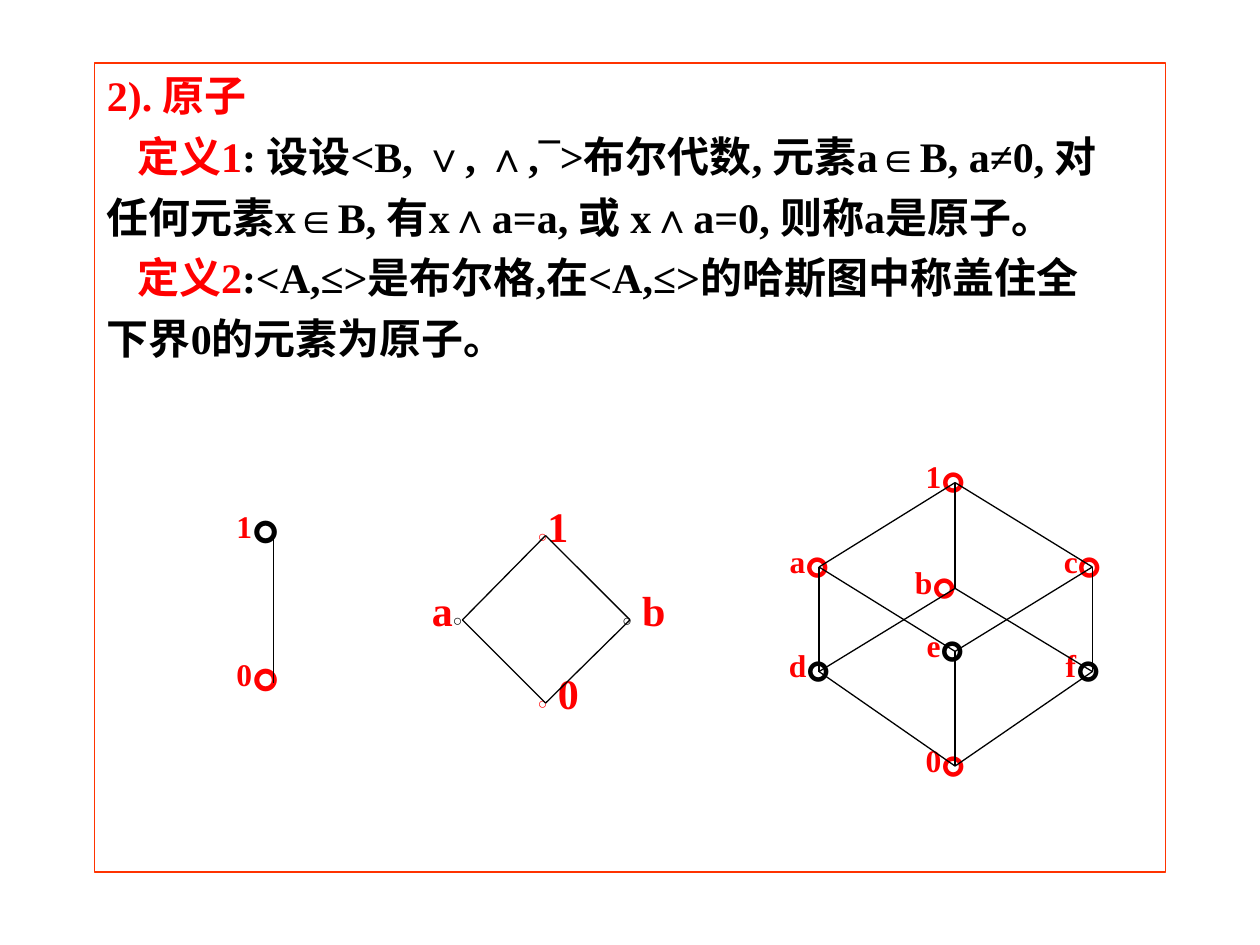
from dataclasses import dataclass
from lxml.etree import SubElement
from pptx import Presentation
from pptx.dml.color import RGBColor
from pptx.enum.lang import MSO_LANGUAGE_ID
from pptx.enum.shapes import MSO_CONNECTOR
from pptx.enum.text import MSO_ANCHOR, PP_ALIGN
from pptx.oxml.ns import qn
from pptx.util import Inches, Pt


@dataclass(frozen=True)
class Theme:
    red: str = "FF0000"
    black: str = "000000"
    frame: str = "FF3300"
    serif: str = "Times New Roman"
    sans: str = "Arial"
    body: int = 24
    label: int = 18
    ring: int = 9
    line: float = 0.75


THEME = Theme()
RED, BLACK = THEME.red, THEME.black

# Definitions: first-line indent, then (text, colour) spans
HANGING = 0.38
DEFINITIONS = [
    (-0.38, [("2). 原子", RED)]),
    (-0.14, [("定义1", RED), (": 设设<B, ∨, ∧,¯>布尔代数, 元素a∈B, a≠0, 对", BLACK)]),
    (-0.38, [("任何元素x∈B, 有x∧a=a, 或 x∧a=0, 则称a是原子。", BLACK)]),
    (-0.14, [("定义2", RED), (":<A,≤>是布尔格,在<A,≤>的哈斯图中称盖住全", BLACK)]),
    (-0.38, [("下界0的元素为原子。", BLACK)]),
]

# Hasse diagrams: node -> (x, y, mark colour), plus edges as pairs of nodes
CUBE = {
    "1": (7.58, 3.83, RED), "e": (7.58, 5.17, BLACK), "0": (7.58, 6.08, RED),
    "d": (6.5, 5.33, BLACK), "f": (8.67, 5.33, BLACK), "b": (7.58, 4.67, RED),
    "c": (8.67, 4.5, RED), "a": (6.5, 4.5, RED),
}
CUBE_EDGES = "cf ad 1b 1a 1c bd bf d0 f0 ae ec e0".split()
CHAIN = {"0": (2.17, 5.42, RED), "1": (2.17, 4.25, BLACK)}
CHAIN_EDGES = ["10"]
DIAMOND = {
    "0": (4.33, 5.58, RED), "1": (4.33, 4.25, RED),
    "a": (3.67, 4.92, BLACK), "b": (5, 4.92, BLACK),
}
DIAMOND_EDGES = "1b 1a a0 b0".split()
DIAMOND_WIDTHS = {"0": 0.75, "1": 1.08, "a": 0.75, "b": 0.92}


def add_span(para, text, size, color, font=THEME.serif):
    span = para.add_run()
    span.text = text
    span.font.size = Pt(size)
    span.font.name = font
    span.font.bold = True
    span.font.color.rgb = RGBColor.from_string(color)
    span.font.language_id = MSO_LANGUAGE_ID.SIMPLIFIED_CHINESE


def add_box(page, left, top, width, height):
    box = page.shapes.add_textbox(*map(Inches, (left, top, width, height)))
    box.text_frame.word_wrap = True
    return box


def add_edges(page, nodes, edges):
    for start, end in edges:
        points = [Inches(value) for name in (start, end) for value in nodes[name][:2]]
        edge = page.shapes.add_connector(MSO_CONNECTOR.STRAIGHT, *points)
        edge.line.color.rgb = RGBColor.from_string(BLACK)
        edge.line.width = Pt(THEME.line)
        SubElement(edge._element.spPr, qn("a:effectLst"))


def add_marked_nodes(page, nodes, offset, size, mark_size, shifts=None):
    """Centred label followed by a large ideographic full stop as the node."""
    for name, (x, y, color) in nodes.items():
        shift = (shifts or {}).get(name, 0)
        box = add_box(page, x - offset[0] - shift, y - offset[1], *size)
        box.text_frame.vertical_anchor = MSO_ANCHOR.MIDDLE
        para = box.text_frame.paragraphs[0]
        para.alignment = PP_ALIGN.CENTER
        add_span(para, name, THEME.label, RED)
        add_span(para, "。", mark_size, color)


def add_ringed_nodes(page, nodes):
    """Large label beside a small ring; the left node has its ring last."""
    for name, (x, y, color) in nodes.items():
        left = x - (0.34 if name == "a" else 0.16)
        box = add_box(page, left, y - 0.33, DIAMOND_WIDTHS[name], 0.5)
        para = box.text_frame.paragraphs[0]
        label = name if name in "1a" else " " + name
        ring_span = ("○", THEME.ring, color, THEME.sans)
        label_span = (label, THEME.body, RED)
        spans = [label_span, ring_span] if name == "a" else [ring_span, label_span]
        for span in spans:
            add_span(para, *span)


def add_definitions(page):
    box = add_box(page, 0.75, 0.5, 8.5, 6.42)
    box.line.color.rgb = RGBColor.from_string(THEME.frame)
    box.line.width = Pt(THEME.line)
    frame = box.text_frame
    for index, (indent, spans) in enumerate(DEFINITIONS):
        para = frame.add_paragraph() if index else frame.paragraphs[0]
        if index:
            para.space_before = Pt(6)
        properties = para._p.get_or_add_pPr()
        properties.set("marL", str(Inches(HANGING)))
        properties.set("indent", str(Inches(indent)))
        for text, color in spans:
            add_span(para, text, THEME.body, color)


def main():
    deck = Presentation()
    deck.slide_width, deck.slide_height = Inches(10), Inches(7.5)
    page = deck.slides.add_slide(deck.slide_layouts[6])

    # Framed definitions
    add_definitions(page)

    # Eight-element lattice
    add_marked_nodes(page, CUBE, (0.42, 0.5), (1, 0.7), 36, {"b": 0.08})
    add_edges(page, CUBE, CUBE_EDGES)

    # Two-element lattice
    add_marked_nodes(page, CHAIN, (0.5, 0.58), (1.09, 0.77), 40)
    add_edges(page, CHAIN, CHAIN_EDGES)

    # Four-element lattice
    add_ringed_nodes(page, DIAMOND)
    add_edges(page, DIAMOND, DIAMOND_EDGES)

    deck.save("out.pptx")


if __name__ == "__main__":
    main()
